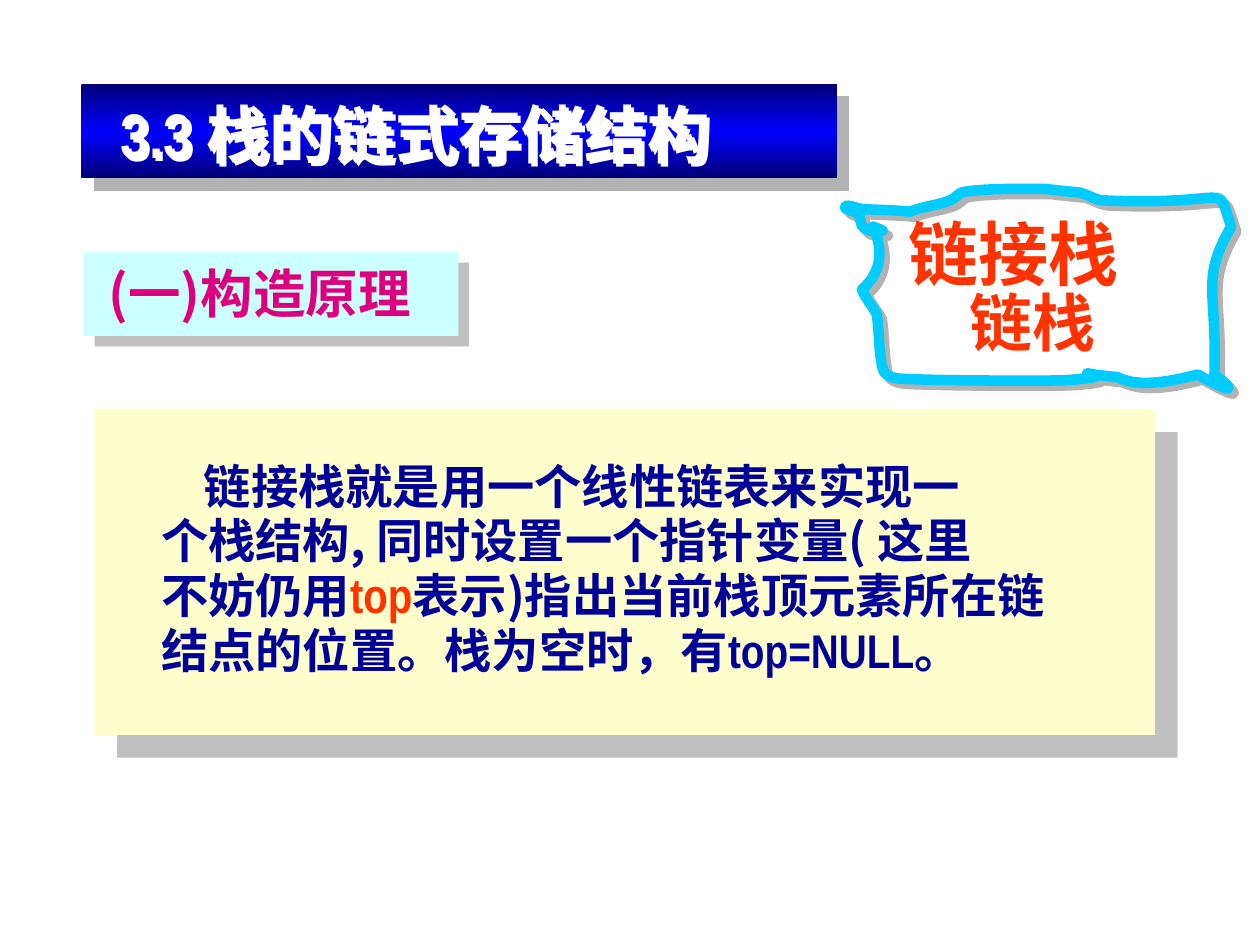
import copy

import pptx
import pptx.dml.color
import pptx.enum.shapes
import pptx.enum.text
import pptx.oxml
import pptx.oxml.ns
import pptx.util

Pt = pptx.util.Pt
qn = pptx.oxml.ns.qn

NS = 'xmlns:a="http://schemas.openxmlformats.org/drawingml/2006/main"'
COLORS = {
    "navy": "000099", "deep": "000076", "blue": "0000FF", "white": "FFFFFF",
    "cream": "FFFFCD", "ice": "CCFFFF", "magenta": "DC0081", "red": "FF3300",
    "cyan": "00CCFF", "silver": "C0C0C0", "grey": "B2B2B2",
}
CJK = "Noto Sans CJK SC"
LATIN = "Arial Narrow"

SCROLL_START = (499, 129.5)
SCROLL_CURVES = [
    (504.5, 142, 504.5, 155, 492.5, 165.5), (494.5, 170.5, 498, 174, 501, 179.5),
    (502.5, 189.5, 502, 198.5, 504, 209), (504.5, 213, 507, 216, 515.5, 216.5),
    (540.5, 217.5, 566, 217.5, 591, 217.5), (600.5, 217.5, 610, 217.5, 618.5, 216.5),
    (643.5, 214, 598.5, 211.5, 638.5, 215.5), (651.5, 222, 670.5, 217.5, 684.5, 214),
    (687, 215.5, 698.5, 222, 701.5, 222), (703.5, 222, 700, 219, 698.5, 217.5),
    (697.5, 216.5, 695.5, 215.5, 694, 214), (695.5, 165, 686, 160, 703.5, 129.5),
    (694, 102, 708, 118, 630, 114.5), (625, 114, 621.5, 111, 616.5, 110),
    (610, 109.5, 597.5, 108, 597.5, 108), (582.5, 108, 566.5, 107.5, 552, 109.5),
    (548, 109.5, 546.5, 113, 543, 114.5), (535.5, 117.5, 527, 118, 520, 121),
    (510.5, 120, 501, 120, 492.5, 119.5), (489, 119, 484.5, 116.5, 483, 118),
    (481.5, 119.5, 487.5, 121, 490.5, 121.5), (492, 124.5, 491, 129, 494.5, 131),
    (497, 132, 501, 132.5, 504, 132), (506, 132, 501, 130.5, 499, 129.5),
]


def rgb(name):
    return pptx.dml.color.RGBColor.from_string(COLORS[name])


class Deck:
    def __init__(self, prs):
        self.s = prs.slides.add_slide(prs.slide_layouts[6])

    def shadow(self, sp, color, distance):
        sp.shadow.inherit = False
        effects = sp._element.spPr.find(qn("a:effectLst"))
        effects.append(pptx.oxml.parse_xml(
            f'<a:outerShdw {NS} dist="{Pt(distance)}" dir="2700000" algn="ctr" '
            f'rotWithShape="0"><a:srgbClr val="{COLORS[color]}"/></a:outerShdw>'))

    def panel(self, box, fills, shadow, distance):
        sp = self.s.shapes.add_shape(
            pptx.enum.shapes.MSO_SHAPE.RECTANGLE, *map(Pt, box))
        if len(fills) == 1:
            sp.fill.solid()
            sp.fill.fore_color.rgb = rgb(fills[0])
        else:
            sp.fill.gradient()
            sp.fill.gradient_angle = 90
            stops = sp._element.spPr.find(".//" + qn("a:gsLst"))
            for _ in fills[2:]:
                stops.append(copy.deepcopy(stops[-1]))
            for i, (stop, fill) in enumerate(zip(sp.fill.gradient_stops, fills)):
                stop.position = i / (len(fills) - 1)
                stop.color.rgb = rgb(fill)
        sp.line.fill.background()
        self.shadow(sp, shadow, distance)

    def outline(self, start, curves, color, width, shadow, distance):
        builder = self.s.shapes.build_freeform(*map(Pt, start))
        builder.add_line_segments([tuple(map(Pt, c[4:])) for c in curves], close=True)
        sp = builder.convert_to_shape()
        for segment, c in zip(list(sp._element.iter(qn("a:lnTo"))), curves):
            points = "".join(
                f'<a:pt x="{Pt(x) - sp.left}" y="{Pt(y) - sp.top}"/>'
                for x, y in zip(c[::2], c[1::2]))
            segment.getparent().replace(segment, pptx.oxml.parse_xml(
                f"<a:cubicBezTo {NS}>{points}</a:cubicBezTo>"))
        sp.fill.background()
        sp.line.color.rgb = rgb(color)
        sp.line.width = Pt(width)
        ln = sp._element.spPr.find(qn("a:ln"))
        ln.append(pptx.oxml.parse_xml(f"<a:round {NS}/>"))
        self.shadow(sp, shadow, distance)

    def text(self, box, lines, size, color, latin=LATIN, spacing=1.0, indent=0, inset=7.2):
        sp = self.s.shapes.add_textbox(*map(Pt, box))
        tf = sp.text_frame
        tf.word_wrap = True
        tf.auto_size = pptx.enum.text.MSO_AUTO_SIZE.SHAPE_TO_FIT_TEXT
        tf.margin_left = Pt(inset)
        for i, runs in enumerate(lines):
            p = tf.paragraphs[0] if i == 0 else tf.add_paragraph()
            p.line_spacing = spacing
            if indent and i == 0:
                p._p.get_or_add_pPr().set("indent", str(Pt(indent)))
            p.font.size = Pt(size)
            p.font.bold = True
            p.font.color.rgb = rgb(color)
            p.font.name = latin
            ea = p.font._element.makeelement(qn("a:ea"), {"typeface": CJK})
            p.font._element.find(qn("a:latin")).addnext(ea)
            for content, *override in runs:
                r = p.add_run()
                r.text = content
                if override:
                    r.font.name = LATIN
                    r.font.size = Pt(override[0])
                    r.font.color.rgb = rgb(override[1])
        return sp


def main():
    prs = pptx.Presentation()
    prs.slide_width, prs.slide_height = Pt(720), Pt(540)
    deck = Deck(prs)

    deck.panel((54, 234, 606, 186), ["cream"], "silver", 18.4)
    deck.text((85, 260, 582, 132), [
        [("链接栈就是用一个线性链表来实现一",)],
        [("个栈结构, 同时设置一个指针变量( 这里",)],
        [("不妨仍用",), ("top", 28, "red"), ("表示)指出当前栈顶元素所在链",)],
        [("结点的位置。栈为空时，有",), ("top=NULL", 27, "navy"), ("。",)],
    ], 27, "navy", latin=CJK, spacing=0.95, indent=24.5)

    deck.panel((46.5, 48, 432, 54), ["deep", "blue", "deep"], "grey", 9.9)
    title = deck.text((53.5, 51, 410, 50.5), [[("3.3 栈的链式存储结构",)]],
                      36, "white", inset=15.5)
    deck.shadow(title, "white", 2.5)

    deck.panel((48, 144, 214, 48), ["ice"], "silver", 8.5)
    deck.text((55, 145.5, 220, 44), [[("(一)构造原理",)]], 30, "magenta", latin=CJK)

    deck.outline(SCROLL_START, SCROLL_CURVES, "cyan", 6, "grey", 4.2)
    deck.text((512, 116.5, 194.5, 55.5), [[("链接栈",)]], 40, "red")
    deck.text((547, 158.5, 102, 50.5), [[("链栈",)]], 36, "red")

    prs.save("out.pptx")


if __name__ == "__main__":
    main()
